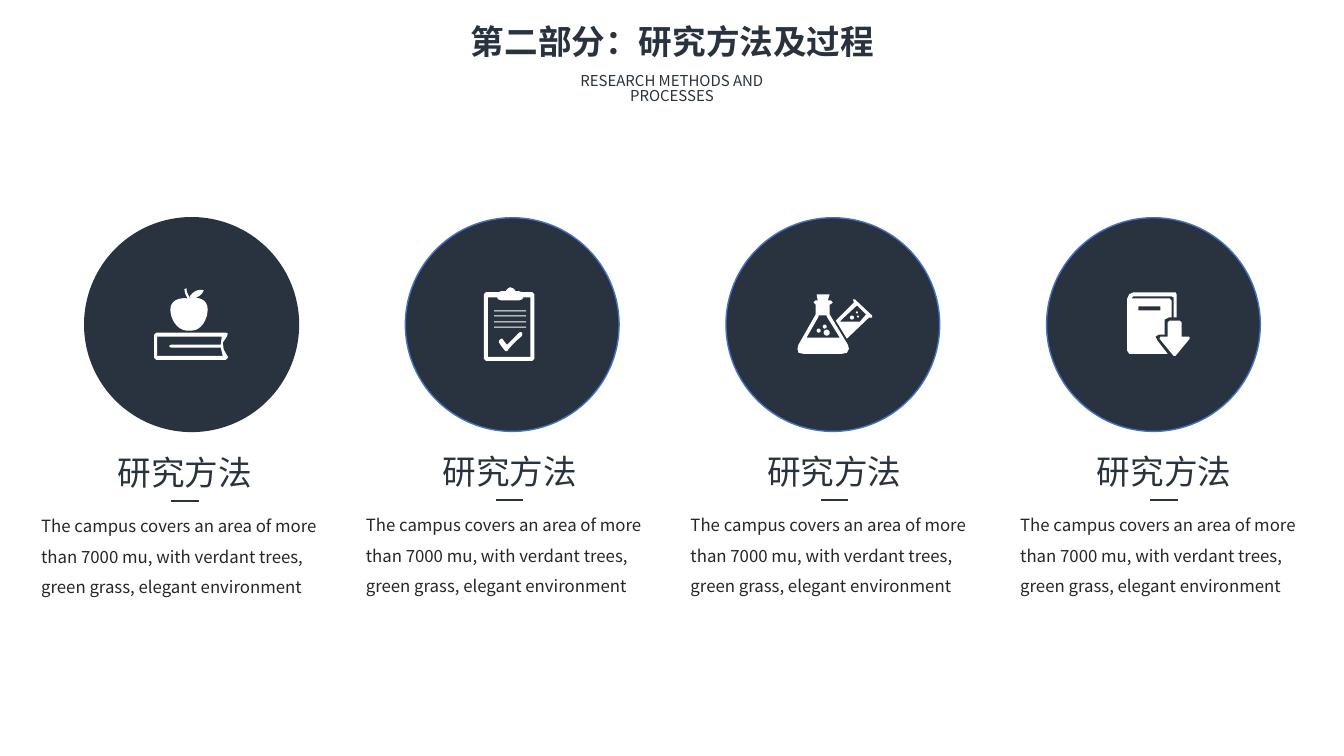
"""Build the research methods slide with four icon cards."""
from dataclasses import dataclass
from math import cos, pi, sin

from lxml import etree
from pptx import Presentation
from pptx.dml.color import RGBColor
from pptx.enum.shapes import MSO_CONNECTOR, MSO_SHAPE
from pptx.enum.text import MSO_AUTO_SIZE, PP_ALIGN
from pptx.oxml.ns import qn
from pptx.shapes.autoshape import Shape
from pptx.shapes.shapetree import SlideShapes
from pptx.util import Pt

LINE = MSO_CONNECTOR.STRAIGHT
OVAL = MSO_SHAPE.OVAL
GROW = MSO_AUTO_SIZE.SHAPE_TO_FIT_TEXT
CENTER, LEFT = PP_ALIGN.CENTER, PP_ALIGN.LEFT

NAVY = RGBColor(0x29, 0x32, 0x3F)
BLUE = RGBColor(0x44, 0x72, 0xC4)
INK = RGBColor(0x26, 0x26, 0x26)
WHITE = RGBColor(0xFF, 0xFF, 0xFF)
FONT = "Noto Sans CJK SC"
SCALE = 9144
DISC, DISC_LEFT, DISC_TOP, DISC_STEP = 212, 84, 216, 318

HEADING = "研究方法"
BODY = ("The campus covers an area of more than 7000 mu, with verdant trees, "
        "green grass, elegant environment")

Point = tuple[float, float]
Outline = list[Point]
Icon = list[Outline]


@dataclass(frozen=True)
class Card:
    """One column: text place, disc edge and icon parts."""
    left: int
    top: int
    edge: RGBColor
    icons: list[Icon]


@dataclass(frozen=True)
class Label:
    """A text box with one style."""
    text: str
    left: int
    top: int
    width: int
    height: int
    size: float
    color: RGBColor = NAVY
    bold: bool = False
    wrap: bool = False
    align: PP_ALIGN = CENTER
    spacing: float = 1.0


def px(length: float) -> int:
    """Turn px into EMU."""
    return round(length * SCALE)


def block(left: int, top: int, right: int, bottom: int) -> Outline:
    """Return a rectangle outline."""
    return [(left, top), (right, top), (right, bottom), (left, bottom)]


def ring(x: int, y: int, radius: int, count: int = 16) -> Outline:
    """Return a round outline."""
    turns = [2 * pi * i / count for i in range(count)]
    return [(x + radius * cos(t), y + radius * sin(t)) for t in turns]


def curve(points: Outline, steps: int = 8) -> Outline:
    """Return an outline along a chain of cubic curves."""
    trace = [points[0]]
    for i in range(0, len(points) - 1, 3):
        a, b, c, d = points[i:i + 4]
        for step in range(1, steps + 1):
            t = step / steps
            u = 1 - t
            trace.append(tuple(
                u**3 * a[k] + 3 * u * u * t * b[k] + 3 * u * t * t * c[k] + t**3 * d[k]
                for k in (0, 1)))
    return trace


BOOK = [
    [(226, 354), (222, 347), (221, 340), (225, 334), (226, 331), (224, 330),
     (155, 330), (153, 332), (153, 355), (155, 357), (224, 357), (226, 355)],
    [(156, 353), (156, 334), (220, 334), (219, 342), (170, 342), (168, 343),
     (168, 344), (170, 345), (219, 345), (221, 353)],
]
APPLE = [curve([
    (185, 328), (185, 328), (187, 328), (190, 328), (200, 328), (206, 316), (206, 307),
    (206, 297), (197, 294), (188, 296), (188, 296), (188, 296), (188, 295),
    (193, 297), (200, 294), (202, 288), (197, 286), (190, 290), (188, 295),
    (187, 293), (185, 290), (185, 286), (185, 286), (183, 287), (183, 287),
    (183, 291), (185, 294), (186, 296), (178, 295), (169, 298), (169, 307),
    (169, 316), (175, 327), (185, 328)])]
CHECK = curve([
    (517, 334), (512, 338), (508, 342), (504, 347), (504, 348), (502, 349), (501, 348),
    (499, 346), (497, 343), (495, 340), (494, 338), (498, 334), (499, 337),
    (500, 339), (502, 341), (503, 342), (507, 338), (511, 334), (515, 330),
    (518, 328), (519, 332), (517, 334)])
CLIPBOARD = [
    [(528, 290), (518, 290), (515, 289), (511, 289), (511, 288), (509, 286), (506, 285),
     (504, 286), (502, 288), (502, 289), (497, 289), (494, 290), (482, 290), (480, 292),
     (480, 356), (482, 358), (528, 358), (530, 356), (530, 292)],
    [(526, 354), (484, 354), (484, 295), (493, 295), (494, 297), (497, 298),
     (515, 298), (518, 297), (519, 295), (526, 295)],
    *[block(490, top, 522, top + 1) for top in (308, 313, 319, 324)],
    CHECK,
]
FLASK = [
    [(865, 315), (862, 315), (840, 336), (829, 318), (847, 300), (846, 297),
     (848, 297), (865, 313)],
    [(859, 312), (850, 303), (836, 316), (833, 319), (853, 319)],
    [(841, 342), (842, 346), (840, 350), (835, 351), (797, 351), (792, 350), (791, 346),
     (792, 342), (809, 312), (809, 302), (807, 300), (809, 298), (811, 298), (810, 292),
     (823, 292), (821, 298), (824, 298), (826, 300), (824, 302), (823, 302), (823, 312)],
    [(833, 335), (820, 314), (820, 313), (812, 313), (812, 314), (800, 335)],
    *[ring(*dot) for dot in ((851, 314, 1), (845, 315, 2), (850, 310, 1),
                             (820, 330, 3), (812, 328, 2), (818, 324, 2))],
]
NOTEBOOK = [
    [(1118, 296), (1120, 292), (1124, 290), (1166, 290), (1167, 292), (1167, 315),
     (1164, 315), (1164, 295), (1162, 294), (1124, 294), (1122, 296), (1160, 296),
     (1162, 298), (1162, 315), (1159, 315), (1155, 317), (1155, 332), (1149, 332),
     (1146, 334), (1148, 338), (1158, 351), (1120, 351), (1118, 348)],
    block(1129, 304, 1151, 308),
]
ARROW = [[(1180, 335), (1179, 334), (1172, 334), (1172, 320), (1170, 318), (1160, 318),
          (1158, 320), (1158, 334), (1151, 334), (1150, 336), (1164, 353), (1166, 353),
          (1180, 336)]]

CARDS = [
    Card(31, 497, NAVY, [BOOK, APPLE]),
    Card(353, 496, BLUE, [CLIPBOARD]),
    Card(675, 496, BLUE, [FLASK]),
    Card(1002, 496, BLUE, [NOTEBOOK, ARROW]),
]


def write(shapes: SlideShapes, label: Label) -> None:
    """Add a label as a text box."""
    frame = shapes.add_textbox(
        px(label.left), px(label.top), px(label.width), px(label.height)).text_frame
    frame.word_wrap = label.wrap
    frame.auto_size = GROW
    line = frame.paragraphs[0]
    line.text = label.text
    line.alignment = label.align
    line.line_spacing = label.spacing
    font = line.font
    font.name, font.size, font.bold = FONT, Pt(label.size), label.bold
    font.color.rgb = label.color
    latin = line._p.pPr.find(qn("a:defRPr")).find(qn("a:latin"))
    east = etree.Element(qn("a:ea"), typeface=FONT)
    latin.addnext(east)


def paint(shape: Shape, fill: RGBColor) -> None:
    """Give a shape a flat fill."""
    shape.shadow.inherit = False
    shape.fill.solid()
    shape.fill.fore_color.rgb = fill


def draw_icon(shapes: SlideShapes, icon: Icon) -> None:
    """Add an icon of one or more outlines."""
    traces = [[(px(x), px(y)) for x, y in outline] for outline in icon]
    pen = shapes.build_freeform(*traces[0][0], scale=1.0)
    pen.add_line_segments(traces[0][1:], close=True)
    for trace in traces[1:]:
        pen.move_to(*trace[0])
        pen.add_line_segments(trace[1:], close=True)
    shape = pen.convert_to_shape()
    paint(shape, WHITE)
    shape.line.fill.background()


def draw_card(shapes: SlideShapes, index: int, card: Card) -> None:
    """Add a disc, its icon, heading, rule and body."""
    disc = shapes.add_shape(OVAL, px(DISC_LEFT + index * DISC_STEP), px(DISC_TOP),
                            px(DISC), px(DISC))
    paint(disc, NAVY)
    disc.line.color.rgb = card.edge
    disc.line.width = Pt(1)
    for icon in card.icons:
        draw_icon(shapes, icon)
    write(shapes, Label(HEADING, card.left + 75, card.top - 54, 155, 50, 24))
    write(shapes, Label(BODY, card.left, card.top, 305, 98, 12, INK,
                        wrap=True, align=LEFT, spacing=1.5))
    rule = shapes.add_connector(LINE, px(card.left + 139), px(card.top),
                                px(card.left + 166), px(card.top))
    rule.line.color.rgb = NAVY
    rule.line.width = Pt(1.5)
    etree.SubElement(rule._element.spPr, qn("a:effectLst"))


def main() -> None:
    """Build and save the deck."""
    deck = Presentation()
    deck.slide_width, deck.slide_height = px(1333), px(750)
    shapes = deck.slides.add_slide(deck.slide_layouts[6]).shapes
    write(shapes, Label("第二部分：研究方法及过程", 455, 16, 424, 50, 24, bold=True))
    write(shapes, Label("RESEARCH METHODS AND PROCESSES", 531, 70, 271, 28, 10.7,
                        wrap=True, spacing=0.8))
    for index, card in enumerate(CARDS):
        draw_card(shapes, index, card)
    deck.save("out.pptx")


if __name__ == "__main__":
    main()
